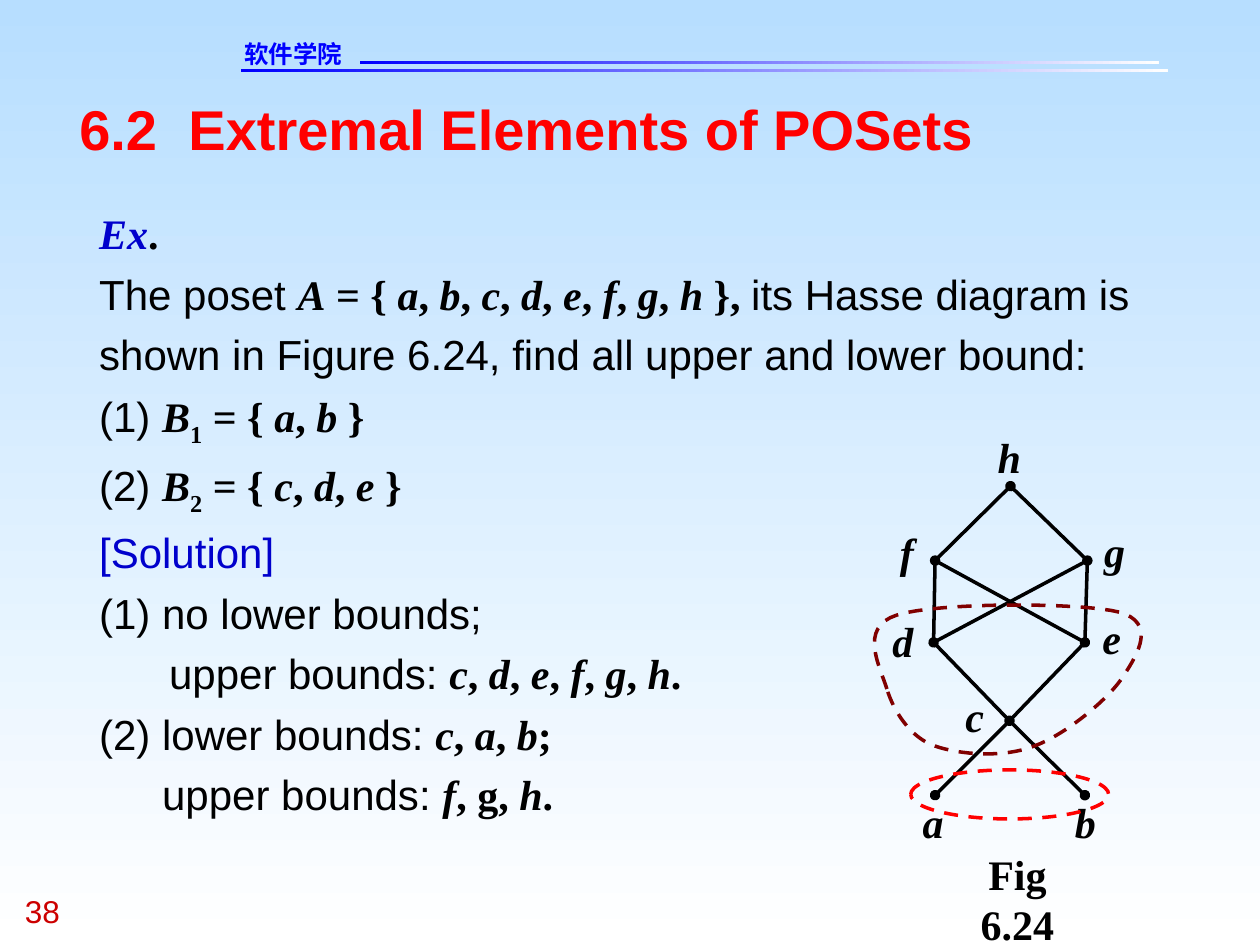
from itertools import groupby

from lxml.etree import SubElement as Sub
from pptx import Presentation
from pptx.dml.color import RGBColor as Rgb
from pptx.enum.dml import MSO_LINE as Dash
from pptx.enum.shapes import MSO_CONNECTOR as Conn, MSO_SHAPE as Shape
from pptx.enum.text import MSO_AUTO_SIZE as Auto, PP_ALIGN as Align
from pptx.oxml.ns import qn
from pptx.util import Cm, Pt

THEME = {
    "sky": "B7DEFF", "white": "FFFFFF", "blue": "0000FF", "navy": "0000CC",
    "black": "000000", "red": "FF0000", "wine": "800000", "page": "CC0000",
    "sans": "Arial", "serif": "Times New Roman", "head": "DejaVu Sans",
    "title": 32, "text": 24, "num": 18, "small": 14, "line": 2,
}

# Kinds: sans = plain, note = blue, bold = upright serif,
# math = serif with italic letters and lowered digits
BODY = [
    (0, [("lead", "Ex"), ("bold", ".")]),
    (0, [("sans", "The poset "), ("math", "A = { a, b, c, d, e, f, g, h }, "),
         ("sans", "its Hasse diagram is shown in Figure 6.24, "
                  "find all upper and lower bound:")]),
    (0, [("sans", "(1) "), ("math", "B1 = { a, b }")]),
    (0, [("sans", "(2) "), ("math", "B2 = { c, d, e }")]),
    (0, [("note", "[Solution]")]),
    (0, [("sans", "(1) no lower bounds;")]),
    (1.41, [("sans", "upper bounds: "), ("math", "c, d, e, f, g, h.")]),
    (0, [("sans", "(2) lower bounds: "), ("math", "c, a, b;")]),
    (1.27, [("sans", "upper bounds: "), ("math", "f"), ("bold", ", g, "),
            ("math", "h.")]),
]

KINDS = {
    "sans": ("sans", "text", "black", {}),
    "note": ("sans", "text", "navy", {}),
    "bold": ("serif", "text", "black", {"bold": True}),
    "math": ("serif", "text", "black", {"bold": True, "italic": True}),
    "lead": ("serif", "text", "navy", {"bold": True, "italic": True}),
    "title": ("sans", "title", "red", {"bold": True}),
    "school": ("head", "small", "blue", {"bold": True}),
    "page": ("sans", "num", "page", {}),
}

RULES = [(4.85, 1.4, 18.69, 0.05), (7.26, 1.24, 16.1, 0.05)]

# Node: dot x, dot y, label centre x, label top
NODES = {
    "h": (20.37, 9.8, 20.33, 8.69),
    "f": (18.85, 11.3, 18.28, 10.62),
    "g": (21.92, 11.3, 22.47, 10.59),
    "d": (18.82, 12.95, 18.2, 12.4),
    "e": (21.87, 12.95, 22.41, 12.34),
    "c": (20.35, 14.53, 19.65, 13.92),
    "a": (18.85, 16.03, 18.81, 16.05),
    "b": (21.87, 16.03, 21.88, 16.05),
}

# Edge: lower node, upper node, ends that carry a dot
EDGES = [
    ("a", "c", ("head", "tail")), ("b", "c", ("head",)),
    ("c", "d", ("tail",)), ("c", "e", ("tail",)),
    ("d", "f", ("tail",)), ("e", "g", ("tail",)),
    ("d", "g", ()), ("e", "f", ()),
    ("f", "h", ("tail",)), ("g", "h", ()),
]

OVAL = (18.36, 15.52, 3.99, 0.99)
LOOP = (17.88, 13.89)
CURVES = [
    ((17.75, 13.46), (17.29, 12.65), (18.08, 12.4)),
    ((18.87, 12.14), (21.79, 12.14), (22.56, 12.34)),
    ((23.32, 12.55), (22.94, 13.18), (22.66, 13.61)),
    ((22.38, 14.07), (21.49, 14.81), (20.85, 15.04)),
    ((20.22, 15.29), (19.33, 15.21), (18.85, 15.04)),
    ((18.36, 14.88), (18.01, 14.33), LOOP),
]
STEPS = 16


def tint(name):
    return Rgb.from_string(THEME[name])


def put(obj, vals):
    for key, val in vals.items():
        setattr(obj, key, val)


def blend(fill, names, angle):
    fill.gradient()
    fill.gradient_angle = angle
    for stop, name in zip(fill.gradient_stops, names):
        stop.color.rgb = tint(name)


def add_run(para, kind, text):
    face, size, color, vals = KINDS[kind]
    run = para.add_run()
    run.text = text
    put(run.font, {"name": THEME[face], "size": Pt(THEME[size]), **vals})
    run.font.color.rgb = tint(color)
    return run


def add_math(para, text):
    """Letters turn italic, digits become subscripts, the rest is upright."""
    def sort(ch):
        return "math" if ch.isalpha() else "sub" if ch.isdigit() else "bold"
    for kind, part in groupby(text, sort):
        run = add_run(para, "bold" if kind == "sub" else kind, "".join(part))
        if kind == "sub":
            run._r.get_or_add_rPr().set("baseline", "-25000")


def add_box(shapes, at, rows, wrap=True, **vals):
    """Rows are (indent in cm, [(kind, text), ...]); vals go to each row."""
    frame = shapes.add_textbox(*map(Cm, at)).text_frame
    put(frame, {"word_wrap": wrap, "auto_size": Auto.SHAPE_TO_FIT_TEXT,
                "margin_left": 0, "margin_right": 0,
                "margin_top": 0, "margin_bottom": 0})
    for i, (indent, parts) in enumerate(rows):
        para = frame.add_paragraph() if i else frame.paragraphs[0]
        put(para, vals)
        if indent:
            para._p.get_or_add_pPr().set("marL", str(Cm(indent)))
        for kind, text in parts:
            if kind == "math":
                add_math(para, text)
            else:
                add_run(para, kind, text)
    return frame


def add_edge(shapes, low, high, dots):
    ends = NODES[low][:2] + NODES[high][:2]
    edge = shapes.add_connector(Conn.STRAIGHT, *map(Cm, ends))
    put(edge.line, {"width": Pt(THEME["line"])})
    edge.line.color.rgb = tint("black")
    ln = edge.line._get_or_add_ln()
    for end in dots:
        Sub(ln, qn(f"a:{end}End"), type="oval")
    Sub(edge._element.spPr, qn("a:effectLst"))


def dash(shape, color):
    shape.shadow.inherit = False
    shape.fill.background()
    put(shape.line, {"width": Pt(THEME["line"]), "dash_style": Dash.DASH})
    shape.line.color.rgb = tint(color)


def trace(start, curves):
    """Points along a chain of cubic Bezier curves."""
    for one, two, end in curves:
        for i in range(1, STEPS + 1):
            t = i / STEPS
            u = 1 - t
            yield tuple(
                Cm(u**3 * p + 3 * u * u * t * q + 3 * u * t * t * r + t**3 * s)
                for p, q, r, s in zip(start, one, two, end))
        start = end


def main():
    deck = Presentation()
    put(deck, {"slide_width": Cm(25.4), "slide_height": Cm(19.05)})
    slide = deck.slides.add_slide(deck.slide_layouts[6])
    shapes = slide.shapes
    blend(slide.background.fill, ("sky", "white"), 270)

    for at in RULES:
        bar = shapes.add_shape(Shape.RECTANGLE, *map(Cm, at))
        bar.shadow.inherit = False
        bar.line.fill.background()
        blend(bar.fill, ("blue", "white"), 0)
    add_box(shapes, (4.92, 0.79, 3.68, 0.58), [(0, [("school", "软件学院")])])
    add_box(shapes, (0.5, 17.98, 1.9, 0.76), [(0, [("page", "38")])])
    add_box(shapes, (2, 3.99, 22.25, 12.52), BODY, line_spacing=1.2)

    graph = shapes.add_group_shape().shapes
    for edge in EDGES:
        add_edge(graph, *edge)
    for name, (_, _, mid, top) in NODES.items():
        add_box(graph, (mid - 0.22, top, 0.44, 1.02), [(0, [("math", name)])],
                wrap=False, alignment=Align.CENTER)

    add_box(shapes, (19.11, 17.1, 2.8, 2.03), [(0, [("bold", "Fig 6.24")])],
            alignment=Align.CENTER)
    dash(shapes.add_shape(Shape.OVAL, *map(Cm, OVAL)), "red")
    pen = shapes.build_freeform(*map(Cm, LOOP))
    pen.add_line_segments(list(trace(LOOP, CURVES)), close=True)
    dash(pen.convert_to_shape(), "wine")

    title = add_box(shapes, (1.6, 1.9, 22.22, 1.35),
                    [(0, [("title", "6.2\tExtremal Elements of POSets")])])
    tabs = Sub(title.paragraphs[0]._p.get_or_add_pPr(), qn("a:tabLst"))
    Sub(tabs, qn("a:tab"), pos=str(Cm(2.2)), algn="l")
    deck.save("out.pptx")


if __name__ == "__main__":
    main()
